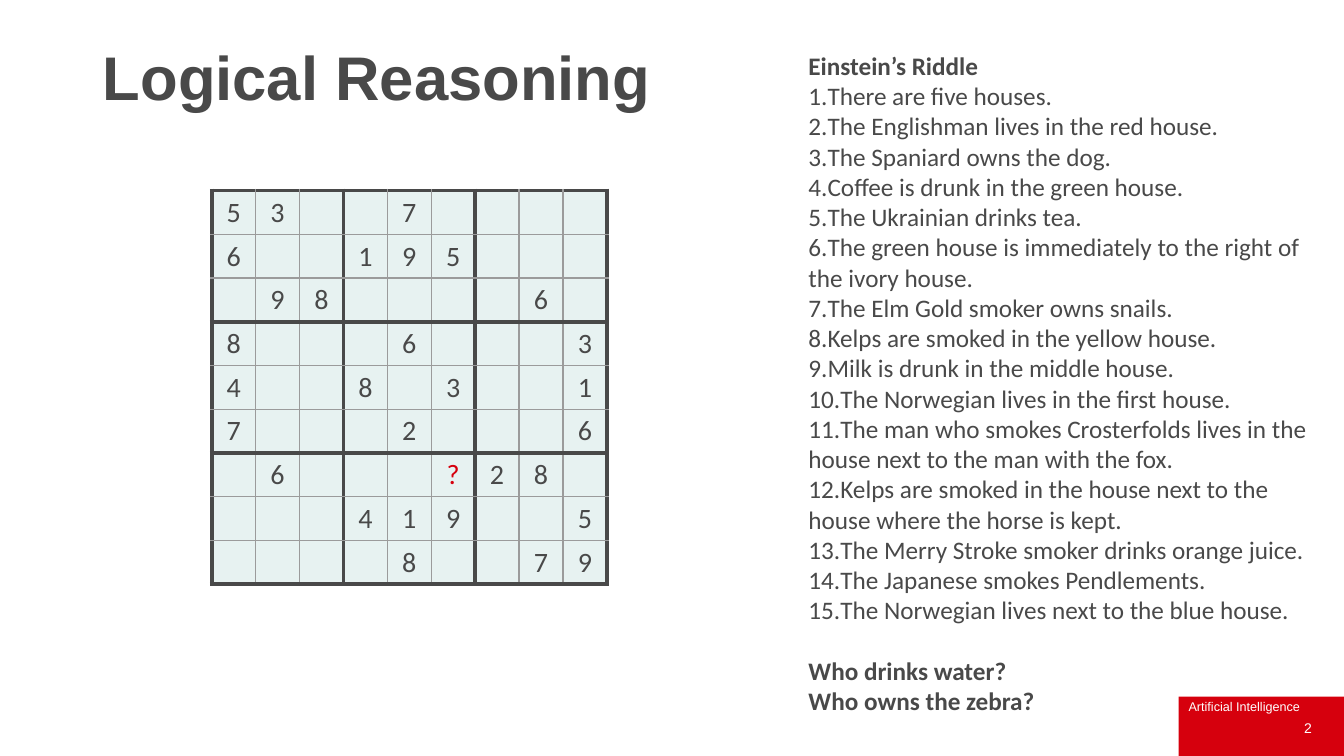
from dataclasses import dataclass

from lxml.etree import SubElement
from pptx import Presentation
from pptx.dml.color import RGBColor
from pptx.enum.shapes import MSO_SHAPE as Shape
from pptx.enum.text import MSO_ANCHOR as Anchor, MSO_AUTO_SIZE as AutoSize, PP_ALIGN as Align
from pptx.oxml.ns import qn
from pptx.util import Inches, Pt

TITLE = "Logical Reasoning"
COURSE = "Artificial Intelligence"
PAGE = "2"

# One string per row; a dot is an empty square.
SUDOKU = [
    "53..7....",
    "6..195...",
    ".98....6.",
    "8...6...3",
    "4..8.3..1",
    "7...2...6",
    ".6...?28.",
    "...419..5",
    "....8..79",
]

RIDDLE = "Einstein’s Riddle"
CLUES = [
    "There are five houses.",
    "The Englishman lives in the red house.",
    "The Spaniard owns the dog.",
    "Coffee is drunk in the green house.",
    "The Ukrainian drinks tea.",
    "The green house is immediately to the right of the ivory house.",
    "The Elm Gold smoker owns snails.",
    "Kelps are smoked in the yellow house.",
    "Milk is drunk in the middle house.",
    "The Norwegian lives in the first house.",
    "The man who smokes Crosterfolds lives in the house next to the man with the fox.",
    "Kelps are smoked in the house next to the house where the horse is kept.",
    "The Merry Stroke smoker drinks orange juice.",
    "The Japanese smokes Pendlements.",
    "The Norwegian lives next to the blue house.",
]
QUESTIONS = ["Who drinks water?", "Who owns the zebra?"]


@dataclass(frozen=True)
class Theme:
    ink: str = "494949"
    red: str = "D6000D"
    white: str = "FFFFFF"
    square: str = "E7F2F1"
    thin_line: str = "9B9B9B"
    heading_font: str = "Arial"
    body_font: str = "Calibri"
    title_size: int = 44
    digit_size: int = 20
    body_size: int = 18
    page_size: int = 10
    course_size: int = 9


THEME = Theme()
WIDTH, HEIGHT = 13.33, 7.5
BLOCK = 3
SQUARE_WIDTH, SQUARE_HEIGHT = 3.92 / len(SUDOKU), 3.9 / len(SUDOKU)


def format_runs(paragraph, font_name, size, color, bold=False):
    for run in paragraph.runs:
        run.font.name = font_name
        run.font.size = Pt(size)
        run.font.bold = bold
        run.font.color.rgb = RGBColor.from_string(color)


def add_text_box(slide, left, top, width, height):
    box = slide.shapes.add_textbox(Inches(left), Inches(top), Inches(width), Inches(height))
    box.text_frame.word_wrap = True
    return box.text_frame


def number_paragraph(paragraph):
    properties = paragraph._p.get_or_add_pPr()
    properties.set("marL", "0")
    properties.set("indent", "0")
    SubElement(properties, qn("a:buFont"), typeface="+mj-lt")
    SubElement(properties, qn("a:buAutoNum"), type="arabicPeriod")


def set_borders(cell, row, column):
    """Draw thick lines on the edges of each block, thin ones inside it."""
    last = BLOCK - 1
    thick_sides = {
        "L": column % BLOCK == 0,
        "R": column % BLOCK == last,
        "T": row % BLOCK == 0,
        "B": row % BLOCK == last,
    }
    properties = cell._tc.get_or_add_tcPr()
    for side, thick in thick_sides.items():
        line = SubElement(properties, qn(f"a:ln{side}"), w=str(Pt(3 if thick else 1)))
        fill = SubElement(line, qn("a:solidFill"))
        SubElement(fill, qn("a:srgbClr"), val=THEME.ink if thick else THEME.thin_line)


def add_title(slide):
    title = slide.shapes.title
    title.left, title.top = Inches(0.92), Inches(0.42)
    title.width, title.height = Inches(7.07), Inches(0.69)
    frame = title.text_frame
    frame.text = TITLE
    frame.auto_size = AutoSize.NONE
    frame.vertical_anchor = Anchor.TOP
    paragraph = frame.paragraphs[0]
    paragraph.alignment = Align.LEFT
    paragraph.line_spacing = 0.9
    format_runs(paragraph, THEME.heading_font, THEME.title_size, THEME.ink, bold=True)


def add_footer(slide):
    left, top = 11.69, 6.91
    panel = slide.shapes.add_shape(
        Shape.RECTANGLE, Inches(left), Inches(top), Inches(WIDTH - left), Inches(HEIGHT - top))
    panel.shadow.inherit = False
    panel.fill.solid()
    panel.fill.fore_color.rgb = RGBColor.from_string(THEME.red)
    panel.line.fill.background()

    course = add_text_box(slide, left, 6.88, 1.53, 0.25)
    course.text = COURSE
    format_runs(course.paragraphs[0], THEME.heading_font, THEME.course_size, THEME.white)

    page = add_text_box(slide, 10.11, 7.02, 3, 0.4)
    page.text = PAGE
    page.vertical_anchor = Anchor.MIDDLE
    page.paragraphs[0].alignment = Align.RIGHT
    format_runs(page.paragraphs[0], THEME.heading_font, THEME.page_size, THEME.white)


def add_sudoku(slide):
    count = len(SUDOKU)
    table = slide.shapes.add_table(
        count, count, Inches(2.1), Inches(1.89),
        Inches(SQUARE_WIDTH * count), Inches(SQUARE_HEIGHT * count)).table
    table.first_row = table.horz_banding = False
    for row, digits in enumerate(SUDOKU):
        for column, digit in enumerate(digits):
            cell = table.cell(row, column)
            set_borders(cell, row, column)
            cell.fill.solid()
            cell.fill.fore_color.rgb = RGBColor.from_string(THEME.square)
            if digit != ".":
                cell.text_frame.text = digit
                paragraph = cell.text_frame.paragraphs[0]
                paragraph.alignment = Align.CENTER
                color = THEME.red if digit == "?" else THEME.ink
                format_runs(paragraph, THEME.body_font, THEME.digit_size, color)


def add_riddle(slide):
    frame = add_text_box(slide, 7.92, 0.45, 5.39, 6.77)
    frame.text = "\n".join([RIDDLE, *CLUES, *QUESTIONS])
    first_question = 1 + len(CLUES)
    for index, paragraph in enumerate(frame.paragraphs):
        is_clue = 0 < index < first_question
        if is_clue:
            number_paragraph(paragraph)
        if index == first_question:
            paragraph.space_before = Pt(21.6)
        format_runs(paragraph, THEME.body_font, THEME.body_size, THEME.ink, bold=not is_clue)


def main():
    presentation = Presentation()
    presentation.slide_width, presentation.slide_height = Inches(WIDTH), Inches(HEIGHT)
    title_only = presentation.slide_layouts.get_by_name("Title Only")
    slide = presentation.slides.add_slide(title_only)
    add_title(slide)
    add_footer(slide)
    add_sudoku(slide)
    add_riddle(slide)
    presentation.save("out.pptx")


if __name__ == "__main__":
    main()
